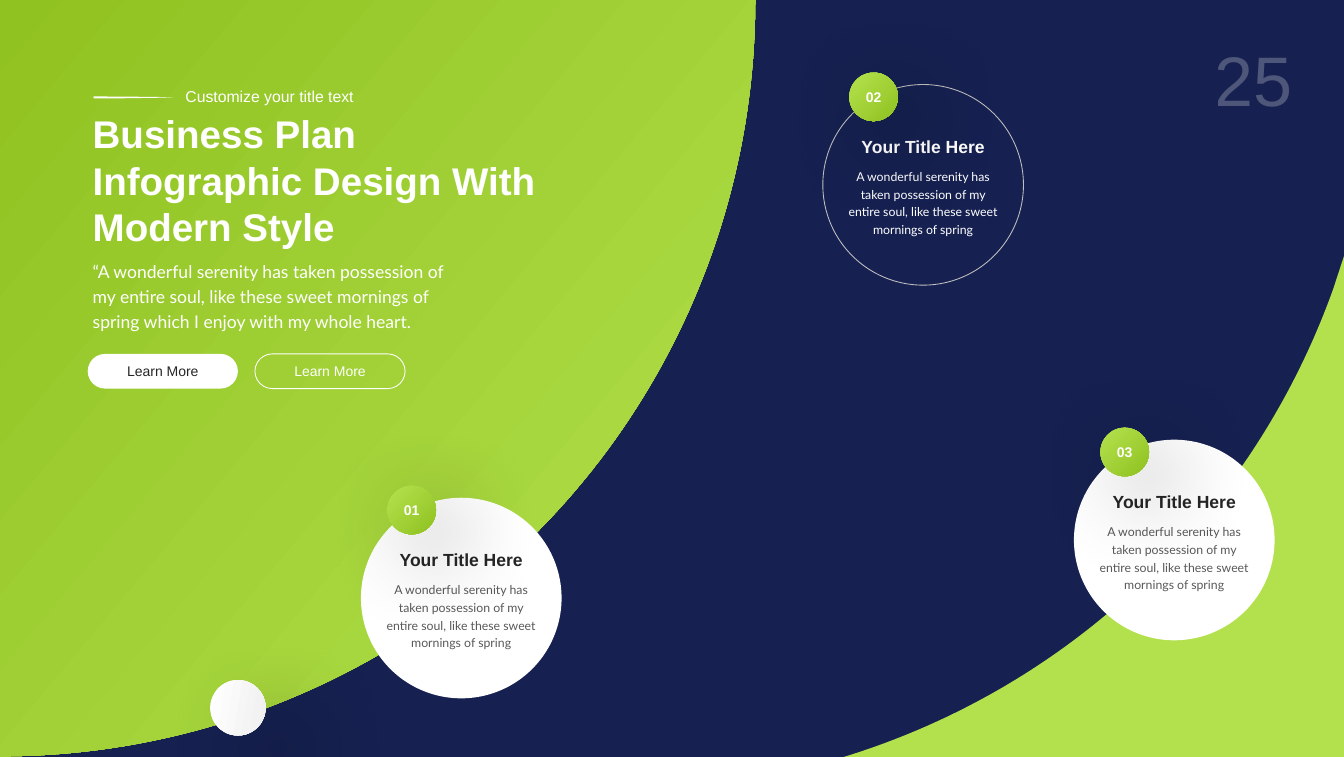
"""Build a business plan slide with three numbered circle cards."""
from dataclasses import dataclass

from lxml import etree
from pptx import Presentation
from pptx.dml.color import RGBColor
from pptx.enum.shapes import MSO_SHAPE
from pptx.enum.text import MSO_ANCHOR, MSO_AUTO_SIZE, PP_ALIGN
from pptx.oxml.ns import qn
from pptx.util import Inches, Pt

OVAL, PILL = MSO_SHAPE.OVAL, MSO_SHAPE.ROUNDED_RECTANGLE
LEFT, CENTER, RIGHT = PP_ALIGN.LEFT, PP_ALIGN.CENTER, PP_ALIGN.RIGHT
MIDDLE, GROW = MSO_ANCHOR.MIDDLE, MSO_AUTO_SIZE.SHAPE_TO_FIT_TEXT
WHITE, NAVY, LIME, LEAF = "FFFFFF", "162151", "B3E14D", "90C221"
DARK, GREY, SILVER = "262626", "595959", "BFBFBF"
CARD_SIZE, BADGE_SIZE = 3.18, 0.77
CARD_TITLE = "Your Title Here"
CARD_BODY = ("A wonderful serenity has taken possession of my entire soul, "
             "like these sweet mornings of spring")


@dataclass(frozen=True)
class Gradient:
    """Two-stop gradient with a counter-clockwise angle."""
    start: str
    end: str
    angle: float
    offset: float = 0.0


@dataclass(frozen=True)
class TextStyle:
    """Character and paragraph format."""
    size: float
    color: str
    name: str = "Arial"
    bold: bool = False
    align: PP_ALIGN = LEFT
    spacing: float | None = None


@dataclass(frozen=True)
class Card:
    """Numbered circle with its top-left corner and colours."""
    number: str
    left: float
    top: float
    fill: str | None
    line: str | None
    title_color: str
    body_color: str


@dataclass(frozen=True)
class Button:
    """Pill-shaped button."""
    left: float
    fill: str | None
    line: str | None
    color: str


@dataclass(frozen=True)
class Outline:
    """Closed outline whose steps are points (2 values) or curves (6 values)."""
    start: tuple
    steps: tuple
    fill: str | Gradient


CARDS = (
    Card("01", 5.72, 7.89, WHITE, None, DARK, GREY),
    Card("02", 13.04, 1.34, None, SILVER, WHITE, WHITE),
    Card("03", 17.02, 6.97, WHITE, None, DARK, GREY),
)
BUTTONS = (Button(1.39, WHITE, None, DARK), Button(4.04, None, WHITE, WHITE))
CORNER = Outline((21.3, 4.06), (
    (21.3, 12.04), (13.24, 12.04), (13.34, 12.01),
    (15.21, 11.44, 16.93, 10.42, 18.33, 9.01),
    (19.59, 7.75, 20.54, 6.23, 21.13, 4.58)), LIME)
PANEL = Outline((0, 11.99), (
    (3.18, 11.99, 6.23, 10.73, 8.47, 8.48),
    (10.72, 6.23, 11.97, 3.18, 11.97, 0), (-0.02, -0.01),
    (-0.02, 3.97, 0, 8, 0, 11.99)), Gradient(LIME, LEAF, 140, 0.01))
STROKE = Outline((1.51, 1.53), (
    (2.07, 1.53, 2.52, 1.54, 2.75, 1.54),
    (2.58, 1.55, 2.56, 1.55, 1.85, 1.56), (1.5, 1.56),
    (1.49, 1.56, 1.48, 1.55, 1.48, 1.54),
    (1.48, 1.53, 1.49, 1.53, 1.51, 1.53)), WHITE)


def rgb(value: str) -> RGBColor:
    """Turn a hex string into a colour."""
    return RGBColor.from_string(value)


def paint(shape, fill: str | Gradient | None, line: str | None = None) -> None:
    """Set fill and line and drop the theme shadow."""
    shape.shadow.inherit = False
    if isinstance(fill, Gradient):
        shape.fill.gradient()
        shape.fill.gradient_angle = fill.angle
        colors, positions = (fill.start, fill.end), (fill.offset, 1.0)
        for stop, color, position in zip(shape.fill.gradient_stops, colors, positions):
            stop.color.rgb = rgb(color)
            stop.position = position
    elif fill:
        shape.fill.solid()
        shape.fill.fore_color.rgb = rgb(fill)
    else:
        shape.fill.background()
    if line:
        shape.line.color.rgb = rgb(line)
        shape.line.width = Pt(1)
    else:
        shape.line.fill.background()


def add_alpha(color, percent: int) -> None:
    """Make a colour element partly transparent."""
    etree.SubElement(color, qn("a:alpha"), val=str(percent * 1000))


def cast_shadow(shape, distance: float) -> None:
    """Add a soft black shadow towards the lower right."""
    effects = shape._element.spPr.find(qn("a:effectLst"))
    outer = etree.SubElement(effects, qn("a:outerShdw"), blurRad=str(Pt(100)),
                             dist=str(Pt(distance)), dir=str(45 * 60000),
                             algn="tl", rotWithShape="0")
    add_alpha(etree.SubElement(outer, qn("a:srgbClr"), val="000000"), 40)


def write(shape, text: str, style: TextStyle):
    """Put one styled paragraph into a shape and return its run."""
    shape.text_frame.word_wrap = True
    para = shape.text_frame.paragraphs[0]
    para.alignment = style.align
    if style.spacing:
        para.line_spacing = style.spacing
    span = para.add_run()
    span.text = text
    values = {"name": style.name, "size": Pt(style.size), "bold": style.bold}
    for key, value in values.items():
        setattr(span.font, key, value)
    span.font.color.rgb = rgb(style.color)
    return span


def add_text(page, text: str, place: tuple, style: TextStyle):
    """Add a text box and return its run."""
    box = page.shapes.add_textbox(*map(Inches, place))
    span = write(box, text, style)
    box.text_frame.auto_size = GROW
    return span


def add_preset(page, kind: MSO_SHAPE, place: tuple, fill, line=None):
    """Add a painted preset shape."""
    shape = page.shapes.add_shape(kind, *map(Inches, place))
    paint(shape, fill, line)
    shape.text_frame.vertical_anchor = MIDDLE
    return shape


def curve_points(start: tuple, step: tuple, count: int = 48) -> list:
    """Sample a cubic curve from start through its two handles to its end."""
    anchors = (start, step[:2], step[2:4], step[4:])
    points = []
    for index in range(1, count + 1):
        t = index / count
        weights = ((1 - t) ** 3, 3 * t * (1 - t) ** 2, 3 * t * t * (1 - t), t ** 3)
        points.append(tuple(sum(w * a[axis] for w, a in zip(weights, anchors))
                            for axis in (0, 1)))
    return points


def add_outline(page, outline: Outline) -> None:
    """Draw a closed outline."""
    points = [outline.start]
    for step in outline.steps:
        points += [step] if len(step) == 2 else curve_points(points[-1], step)
    corners = [(Inches(x), Inches(y)) for x, y in points]
    builder = page.shapes.build_freeform(*corners[0], scale=1.0)
    builder.add_line_segments(corners[1:], close=True)
    paint(builder.convert_to_shape(), outline.fill)


def add_card(page, card: Card) -> None:
    """Draw a circle card with its title, body and number badge."""
    left, top = card.left, card.top
    add_preset(page, OVAL, (left, top, CARD_SIZE, CARD_SIZE), card.fill, card.line)
    add_text(page, CARD_TITLE, (left, top + 0.76, CARD_SIZE, 0.44),
             TextStyle(20, card.title_color, bold=True, align=CENTER))
    add_text(page, CARD_BODY, (left + 0.24, top + 1.25, 2.7, 1.23),
             TextStyle(14, card.body_color, "Lato", align=CENTER, spacing=1.2))
    badge = add_preset(page, OVAL, (left + 0.42, top - 0.19, BADGE_SIZE, BADGE_SIZE),
                       Gradient(LIME, LEAF, 315, 0.02))
    cast_shadow(badge, 35)
    write(badge, card.number, TextStyle(16, WHITE, bold=True, align=CENTER))


def main() -> None:
    """Build and save the slide."""
    deck = Presentation()
    deck.slide_width, deck.slide_height = Inches(21.3), Inches(12)
    page = deck.slides.add_slide(deck.slide_layouts[6])
    page.background.fill.solid()
    page.background.fill.fore_color.rgb = rgb(NAVY)
    number = add_text(page, "25", (15.71, 0.52, 4.88, 1.45),
                      TextStyle(80, "F2F2F2", align=RIGHT))
    add_alpha(number.font._element.find(f".//{qn('a:srgbClr')}"), 25)
    for outline in (CORNER, PANEL, STROKE):
        add_outline(page, outline)
    add_text(page, "Customize your title text", (2.84, 1.33, 3.67, 0.4), TextStyle(18, WHITE))
    add_text(page, "Business Plan Infographic Design With Modern Style",
             (1.37, 1.7, 7.53, 2.32), TextStyle(44, WHITE, bold=True))
    add_text(page, "“A wonderful serenity has taken possession of my entire soul, like "
             "these sweet mornings of spring which I enjoy with my whole heart.",
             (1.37, 4.02, 6.11, 1.28), TextStyle(20, WHITE, "Lato", spacing=1.2))
    for button in BUTTONS:
        pill = add_preset(page, PILL, (button.left, 5.61, 2.38, 0.55), button.fill, button.line)
        pill.adjustments[0] = 0.5
        write(pill, "Learn More", TextStyle(16, button.color, align=CENTER))
    ball = add_preset(page, OVAL, (3.33, 10.78, 0.88, 0.88), Gradient(WHITE, "F0F0F0", 350))
    cast_shadow(ball, 64)
    for card in CARDS:
        add_card(page, card)
    deck.save("out.pptx")


if __name__ == "__main__":
    main()
